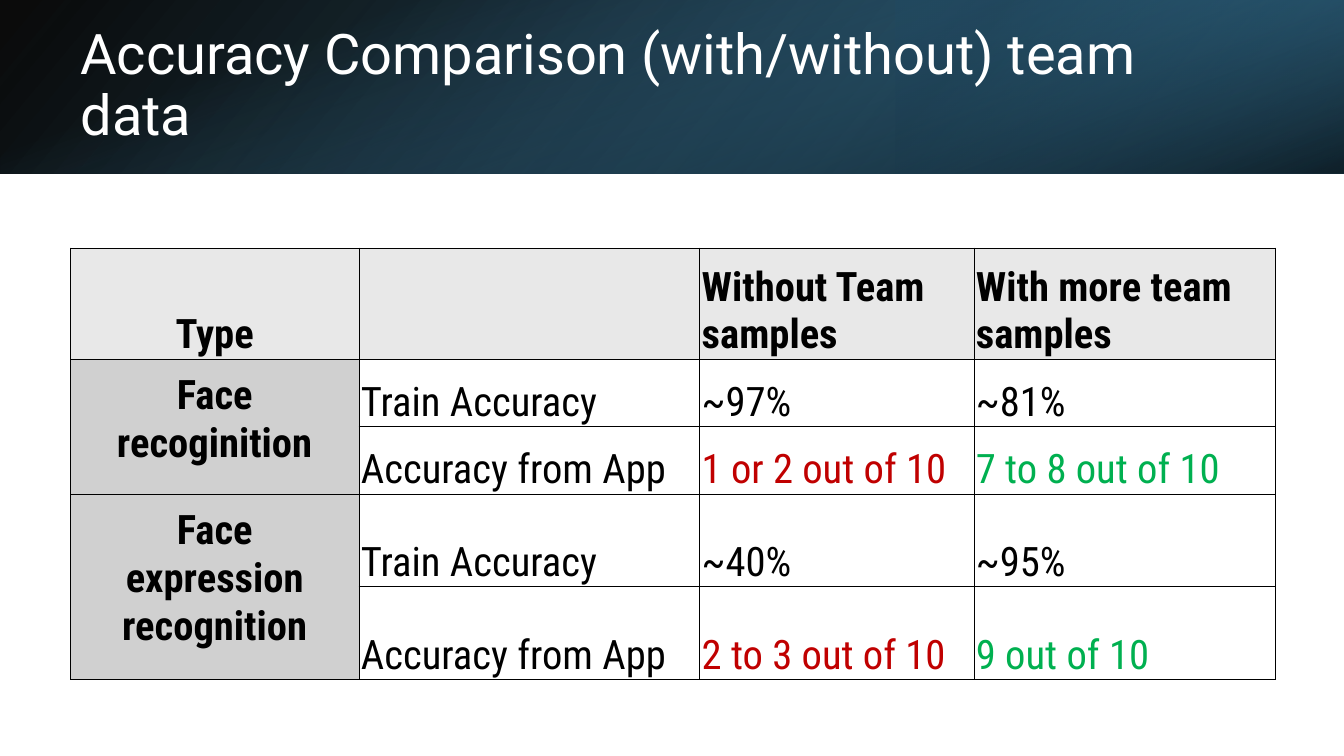
import pptx
import pptx.dml.color
import pptx.enum.shapes
import pptx.enum.text
import pptx.oxml
import pptx.oxml.ns
import pptx.util
from pptx.util import Inches

ANCHOR = pptx.enum.text.MSO_ANCHOR
ALIGN = pptx.enum.text.PP_ALIGN
BLACK, RED, GREEN = "000000", "C00000", "00B050"
HEADER_FILL, TYPE_FILL = "E8E8E8", "D0D0D0"
BANNER_HEIGHT = 1.72


def color(value):
    return pptx.dml.color.RGBColor.from_string(value)


def write_text(text_frame, text, align=ALIGN.LEFT, **font_format):
    paragraph = text_frame.paragraphs[0]
    paragraph.alignment = align
    run = paragraph.add_run()
    run.text = text
    run.font.color.rgb = color(font_format.pop("color"))
    for name, value in font_format.items():
        setattr(run.font, name, value)
    return paragraph


def add_gradient(slide, box, stops, angle, rotation=0, flip=False):
    """Stops are (position %, colour, opacity %); the angle runs clockwise."""
    shape = slide.shapes.add_shape(
        pptx.enum.shapes.MSO_SHAPE.RECTANGLE, *map(Inches, box))
    shape.shadow.inherit = False
    shape.line.fill.background()
    shape.rotation = rotation
    if flip:
        shape._element.spPr.xfrm.set("flipH", "1")
    shape.fill.gradient()
    shape.fill.gradient_angle = 360 - angle
    for stop, (position, value, _) in zip(shape.fill.gradient_stops, stops):
        stop.position = position / 100
        stop.color.rgb = color(value)
    colors = shape._element.spPr.iter(pptx.oxml.ns.qn("a:srgbClr"))
    for element, (_, _, opacity) in zip(colors, stops):
        element.append(pptx.oxml.parse_xml(
            f'<a:alpha {pptx.oxml.ns.nsdecls("a")} val="{opacity * 1000}"/>'))


def add_banner(slide, left, top, width, height):
    # Three translucent layers
    add_gradient(slide, (left, top, width, height),
                 [(0, "000000", 96), (100, "316886", 100)], 140, flip=True)
    add_gradient(slide, (left + width * 2 / 3, top, width / 3, height),
                 [(19, "20455A", 68), (100, "418AB3", 79)], 320,
                 rotation=180, flip=True)
    offset = (width - height) / 2
    add_gradient(slide, (left + offset, top - offset, height, width),
                 [(23, "418AB3", 0), (99, "000000", 74)], 340, rotation=90)

    # Title
    title = slide.shapes.add_textbox(
        *map(Inches, (left + 0.7, top + 0.38, 11.78, 0.96)))
    title.text_frame.word_wrap = True
    title.text_frame.vertical_anchor = ANCHOR.MIDDLE
    paragraph = write_text(
        title.text_frame, "Accuracy Comparison (with/without) team data",
        name="Roboto", size=pptx.util.Pt(40), color="FFFFFF")
    paragraph.line_spacing = 0.9


def add_borders(cell):
    properties = cell._tc.get_or_add_tcPr()
    for side in "LRTB":
        properties.append(pptx.oxml.parse_xml(
            f'<a:ln{side} {pptx.oxml.ns.nsdecls("a")} w="6350"><a:solidFill>'
            f'<a:srgbClr val="{BLACK}"/></a:solidFill></a:ln{side}>'))


def format_cell(cell, text, row, column):
    is_type = row > 0 and column == 0
    is_header = row == 0
    margins = (0.27, 0.13, 0.27, 0.13) if is_type else (0.02, 0.02, 0.02, 0)
    for side, margin in zip(("left", "top", "right", "bottom"), margins):
        setattr(cell, f"margin_{side}", Inches(margin))
    cell.vertical_anchor = ANCHOR.TOP if is_type else ANCHOR.BOTTOM
    add_borders(cell)
    if is_header or is_type:
        cell.fill.solid()
        cell.fill.fore_color.rgb = color(HEADER_FILL if is_header else TYPE_FILL)
    else:
        cell.fill.background()
    if text:
        from_app = row in (2, 4)
        write_text(cell.text_frame, text,
                   ALIGN.CENTER if column == 0 else ALIGN.LEFT,
                   name="Roboto Condensed", size=pptx.util.Pt(29),
                   bold=is_header or is_type,
                   color={2: RED, 3: GREEN}.get(column, BLACK)
                   if from_app else BLACK)


def add_accuracy_table(slide, left, top):
    widths = [2.86, 3.38, 2.72, 2.99]
    heights = [1.1, 0.67, 0.67, 0.92, 0.92]
    rows = [
        ("Type", "", "Without Team samples", "With more team samples"),
        ("Face recoginition", "Train Accuracy", "~97%", "~81%"),
        ("", "Accuracy from App", "1 or 2 out of 10", "7 to 8 out of 10"),
        ("Face expression recognition", "Train Accuracy", "~40%", "~95%"),
        ("", "Accuracy from App", "2 to 3 out of 10", "9 out of 10"),
    ]
    table = slide.shapes.add_table(
        len(rows), len(widths),
        *map(Inches, (left, top, sum(widths), sum(heights)))).table
    table.first_row = table.horz_banding = False
    for column, width in zip(table.columns, widths):
        column.width = Inches(width)
    for row, height in zip(table.rows, heights):
        row.height = Inches(height)
    for row, texts in enumerate(rows):
        for column, text in enumerate(texts):
            format_cell(table.cell(row, column), text, row, column)

    # Each type spans its two measures
    for row in (1, 3):
        table.cell(row, 0).merge(table.cell(row + 1, 0))


def main():
    presentation = pptx.Presentation()
    presentation.slide_width = Inches(13.33)
    presentation.slide_height = Inches(7.5)
    slide = presentation.slides.add_slide(presentation.slide_layouts[6])
    add_banner(slide, 0, 0, 13.33, BANNER_HEIGHT)
    add_accuracy_table(slide, 0.7, 2.46)
    presentation.save("out.pptx")


if __name__ == "__main__":
    main()
